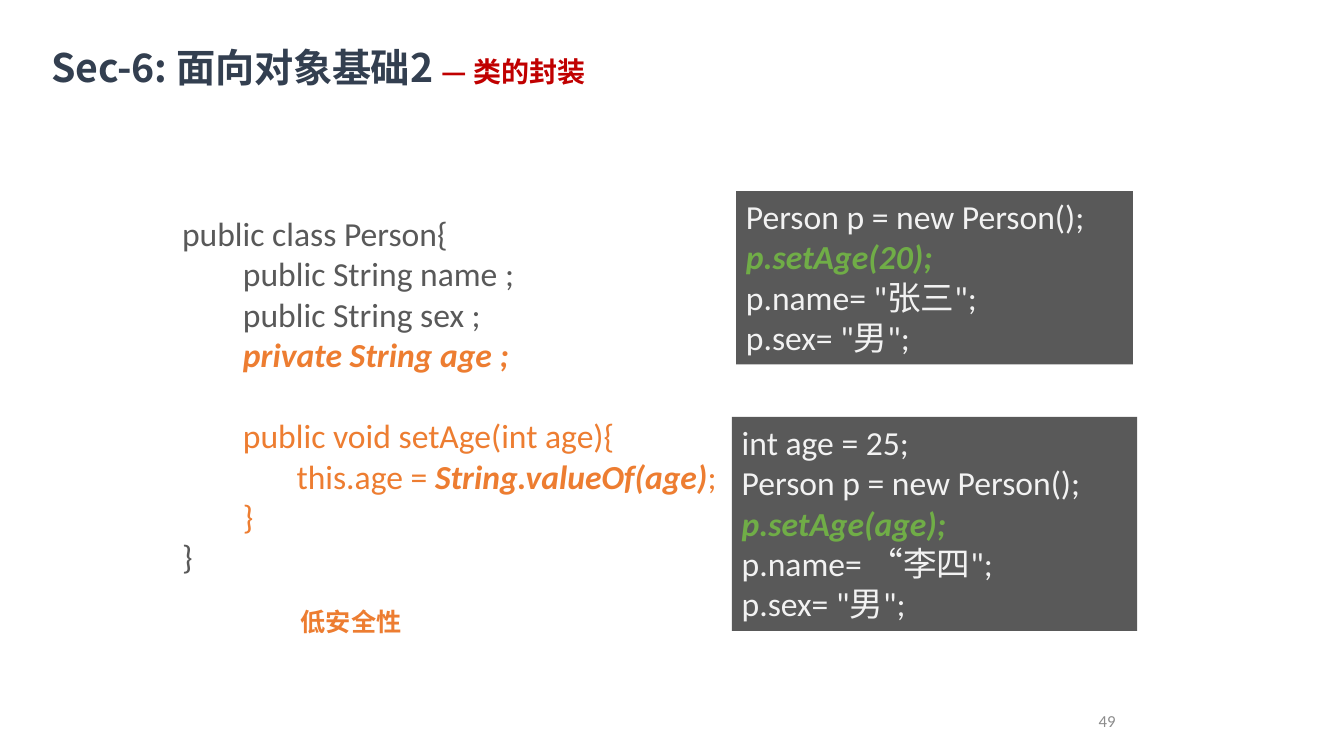
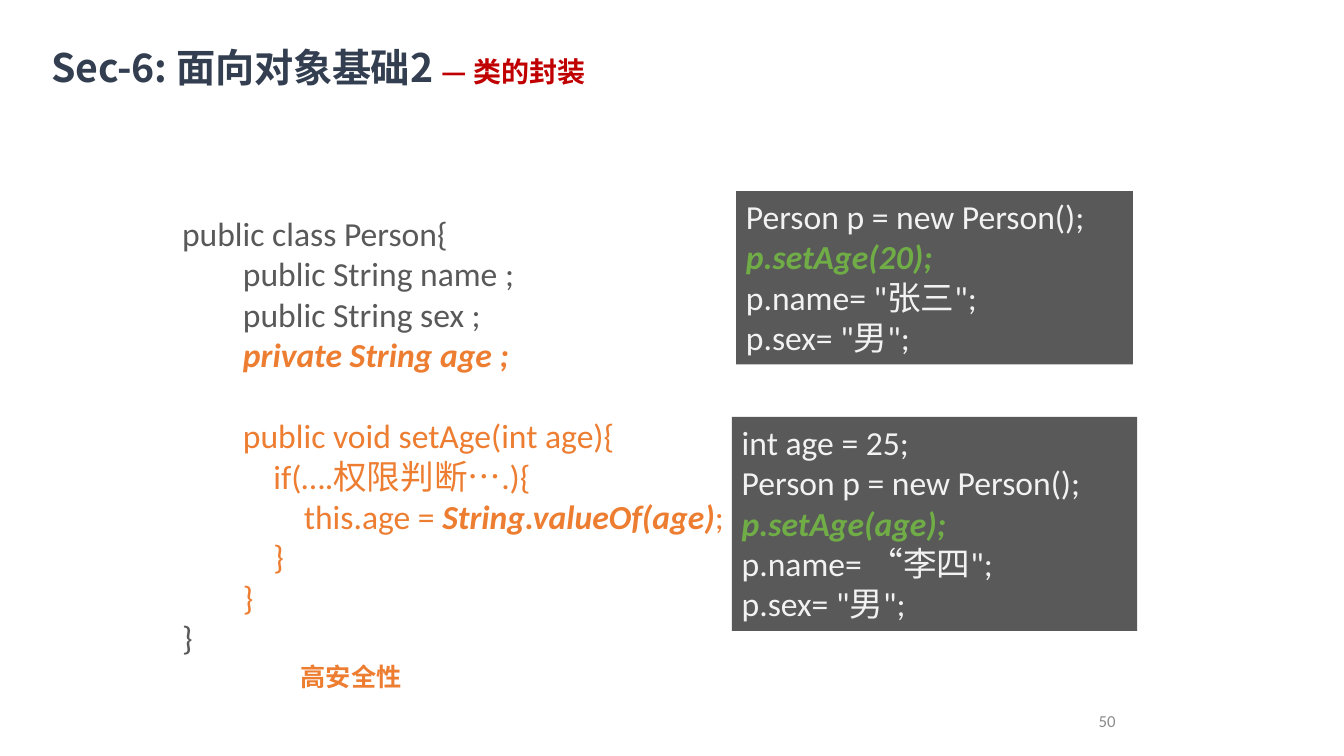
"""Build two slides on class encapsulation, with low and high safety."""
from pptx import Presentation
from pptx.dml.color import RGBColor
from pptx.enum.shapes import MSO_SHAPE as Shape
from pptx.enum.text import MSO_ANCHOR as Anchor, MSO_AUTO_SIZE as Fit, PP_ALIGN as Align
from pptx.oxml.ns import qn
from pptx.util import Pt

PX = 9525
STEP = 29
LINE = 29.3
LATIN = "Calibri"
HAN = "Noto Sans CJK SC"
GRAY = RGBColor(0x59, 0x59, 0x59)
PALE = RGBColor(0xF2, 0xF2, 0xF2)
DIM = RGBColor(0x8C, 0x8C, 0x8C)
NAVY = RGBColor(0x33, 0x3F, 0x50)
RED = RGBColor(0xC0, 0x00, 0x00)
ORANGE = RGBColor(0xED, 0x7D, 0x31)
GREEN = RGBColor(0x70, 0xAD, 0x47)


def style(run, size, color, face=LATIN, bold=False, italic=False):
    font = run.font
    font.size, font.name, font.bold, font.italic = Pt(size), face, bold, italic
    font.color.rgb = color
    props = run._r.get_or_add_rPr()
    props.set("lang", "zh-CN")
    east = props.makeelement(qn("a:ea"), {"typeface": HAN})
    props.find(qn("a:latin")).addnext(east)


def write(shape, lines):
    frame = shape.text_frame
    frame.word_wrap = True
    frame.vertical_anchor = Anchor.TOP
    for row, (indent, *parts) in enumerate(lines):
        para = frame.paragraphs[0] if row == 0 else frame.add_paragraph()
        para.alignment = Align.LEFT
        para._p.get_or_add_pPr().set("marL", str(indent * PX))
        for text, color, strong in parts:
            run = para.add_run()
            run.text = text
            style(run, 24, color, bold=strong, italic=strong)


HEAD = [
    (0, ("public class Person{", GRAY, False)),
    (2 * STEP, ("public String name ;", GRAY, False)),
    (2 * STEP, ("public String sex ;", GRAY, False)),
    (2 * STEP, ("private String age ;", ORANGE, True)),
    (2 * STEP, ("public void setAge(int age){", ORANGE, False)),
]
STORE = [("this.age = ", ORANGE, False), ("String.valueOf(age)", ORANGE, True),
         (";", ORANGE, False)]
TAIL = [(2 * STEP, ("}", ORANGE, False)), (0, ("}", GRAY, False))]
CHECK = [
    (3 * STEP, ("if(….权限判断….){", ORANGE, False)),
    (4 * STEP, *STORE),
    (3 * STEP, ("}", ORANGE, False)),
]
PAGES = [
    ("49", [(109, *STORE)], 359, "低安全性", 573),
    ("50", CHECK, 436, "高安全性", 625),
]
CALLS = [
    ((701, 182, 378, 165),
     ["Person p = new Person();", "p.setAge(20);", 'p.name= "张三";', 'p.sex= "男";']),
    ((697, 397, 386, 204),
     ["int age = 25;", "Person p = new Person();", "p.setAge(age);",
      'p.name= “李四";', 'p.sex= "男";']),
]

prs = Presentation()
prs.slide_width, prs.slide_height = 1280 * PX, 720 * PX

for number, body, height, label, top in PAGES:
    slide = prs.slides.add_slide(prs.slide_layouts[5])
    shapes = slide.shapes

    title = shapes.title
    title.left, title.top, title.width, title.height = 48 * PX, 40 * PX, 622 * PX, 46 * PX
    frame = title.text_frame
    frame.margin_left = frame.margin_right = frame.margin_bottom = 0
    frame.margin_top = PX
    frame.vertical_anchor = Anchor.TOP
    frame.auto_size = Fit.SHAPE_TO_FIT_TEXT
    para = frame.paragraphs[0]
    para.alignment = Align.LEFT
    para.space_before = Pt(0.9)
    para._p.get_or_add_pPr().set("marL", str(PX))
    for text, size, color in [("Sec-6: 面向对象基础2 ", 28, NAVY), ("— 类的封装", 20, RED)]:
        run = para.add_run()
        run.text = text
        style(run, size, color, HAN, bold=True)
        run._r.get_or_add_rPr().set("spc", "-10")

    code = shapes.add_textbox(164 * PX, 198 * PX, 558 * PX, height * PX)
    write(code, HEAD + body + TAIL)
    code.text_frame.paragraphs[4].space_before = Pt(LINE)

    for place, lines in CALLS:
        panel = shapes.add_shape(Shape.RECTANGLE, *[n * PX for n in place])
        panel.shadow.inherit = False
        panel.fill.solid()
        panel.fill.fore_color.rgb = GRAY
        panel.line.fill.background()
        write(panel, [(0, (text, GREEN if "setAge" in text else PALE, "setAge" in text))
                      for text in lines])

    note = shapes.add_textbox(277 * PX, top * PX, 165 * PX, 38 * PX)
    note.text_frame.word_wrap = True
    note.text_frame.text = label
    style(note.text_frame.paragraphs[0].runs[0], 18, ORANGE, HAN, bold=True)

    page = shapes.add_textbox(848 * PX, 667 * PX, 224 * PX, 38 * PX)
    page.text_frame.word_wrap = True
    page.text_frame.vertical_anchor = Anchor.MIDDLE
    page.text_frame.text = number
    para = page.text_frame.paragraphs[0]
    para.alignment = Align.RIGHT
    style(para.runs[0], 12, DIM)

prs.save("out.pptx")
